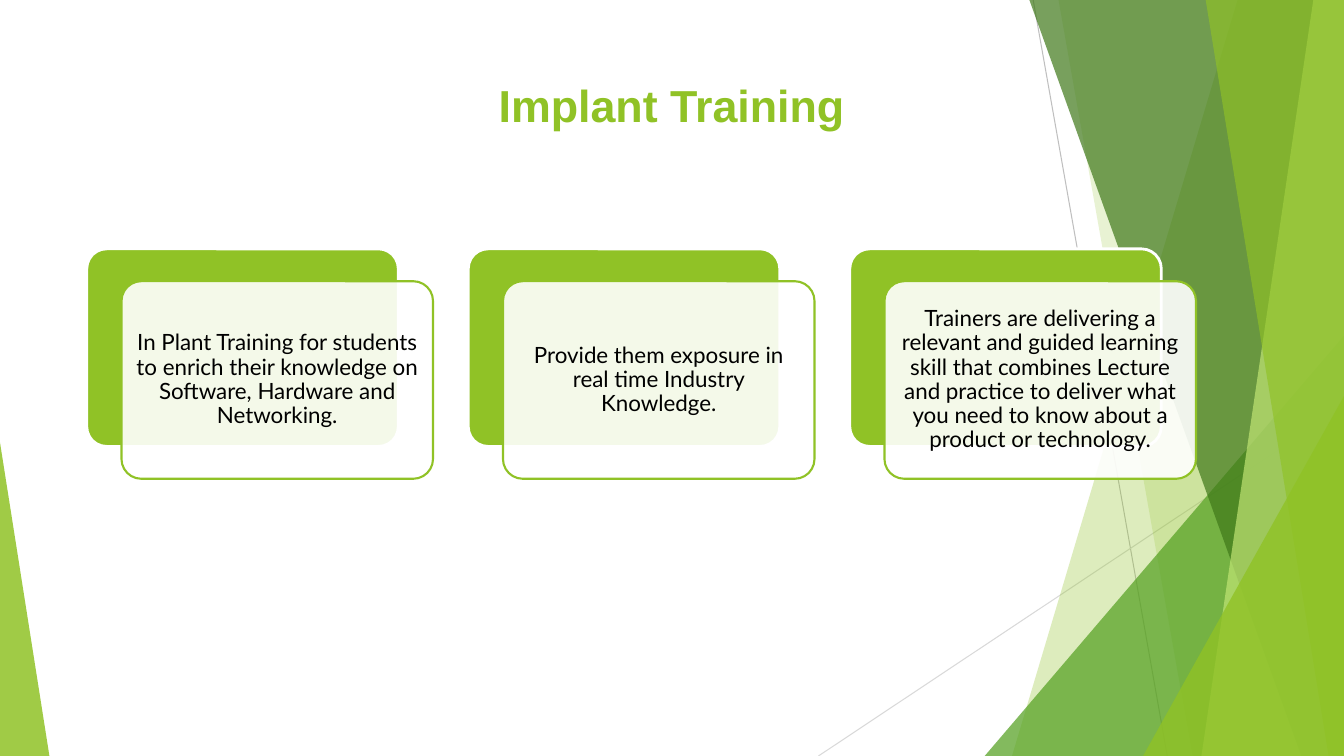
"""Build the Implant Training slide: green facets, a title and three layered cards."""
from lxml import etree
from pptx import Presentation
from pptx.dml.color import RGBColor
from pptx.enum.shapes import MSO_CONNECTOR, MSO_SHAPE as SHAPE
from pptx.enum.text import MSO_ANCHOR as ANCHOR, PP_ALIGN as ALIGN
from pptx.oxml.ns import qn
from pptx.util import Pt

LIME = RGBColor(0x90, 0xC2, 0x26)
GREEN = RGBColor(0x54, 0xA0, 0x21)
FOREST = RGBColor(0x3F, 0x78, 0x19)
PALE = RGBColor(0xC0, 0xE4, 0x74)
GREY = RGBColor(0xBF, 0xBF, 0xBF)
LIGHT_GREY = RGBColor(0xD9, 0xD9, 0xD9)
WHITE = RGBColor(0xFF, 0xFF, 0xFF)
BLACK = RGBColor(0, 0, 0)
WIDTH, HEIGHT = 960, 540
TOP = -0.6


def paint(sp, color, opacity, line=None, weight=0):
    sp.shadow.inherit = False
    sp.fill.solid()
    sp.fill.fore_color.rgb = color
    if opacity < 100:
        clr = sp.fill._xPr.find(qn("a:solidFill"))[0]
        etree.SubElement(clr, qn("a:alpha")).set("val", str(opacity * 1000))
    if line is None:
        sp.line.fill.background()
    else:
        sp.line.color.rgb = line
        sp.line.width = Pt(weight)


def write(tf, text, **font):
    tf.word_wrap = True
    p = tf.paragraphs[0]
    p.alignment = ALIGN.CENTER
    r = p.add_run()
    r.text = text
    r.font.color.rgb = font.pop("color")
    for name, value in font.items():
        setattr(r.font, name, value)
    return p


prs = Presentation()
prs.slide_width, prs.slide_height = Pt(WIDTH), Pt(HEIGHT)
s = prs.slides.add_slide(prs.slide_layouts[6])

for x1, y1, x2, color in [(738, 0, 833.8, GREY), (WIDTH, 290.2, 584.6, LIGHT_GREY)]:
    cn = s.shapes.add_connector(MSO_CONNECTOR.STRAIGHT, Pt(x1), Pt(y1), Pt(x2), Pt(HEIGHT))
    cn.line.color.rgb = color
    cn.line.width = Pt(0.75)
    etree.SubElement(cn._element.spPr, qn("a:effectLst"))

facets = [
    ("beam", (884.2, 722.9), LIME, 30),
    ("beam", (756, 851.8), LIME, 20),
    ("wedge", (703.4, 239.8, 256.6, 1), GREEN, 72),
    ("beam", (735.1, 929.5), FOREST, 70),
    ("beam", (938.2, 858.2), PALE, 70),
    ("beam", (861.1, 949), LIME, 65),
    ("wedge", (816.5, 283, 143.5, 1), LIME, 80),
    ("wedge", (0, 316.1, 35.3, 0), LIME, 85),
]
for kind, place, color, opacity in facets:
    if kind == "beam":
        top_x, bottom_x = place
        fb = s.shapes.build_freeform(Pt(top_x), Pt(TOP))
        corners = [(WIDTH, TOP), (WIDTH, HEIGHT), (bottom_x, HEIGHT)]
        fb.add_line_segments([(Pt(x), Pt(y)) for x, y in corners])
        sp = fb.convert_to_shape()
    else:
        x, y, w, apex = place
        sp = s.shapes.add_shape(SHAPE.ISOSCELES_TRIANGLE, Pt(x), Pt(y), Pt(w), Pt(HEIGHT - y))
        sp.adjustments[0] = apex
    paint(sp, color, opacity)

title = s.shapes.add_textbox(Pt(234.7), Pt(51.8), Pt(490.3), Pt(61.2))
write(title.text_frame, "Implant Training", name="Arial", size=Pt(32), bold=True, color=LIME)

CARD_W, CARD_H, PITCH = 222.5, 141.1, 272.5
LEFT, CARD_TOP = 62, 177.8
SHIFT_X, SHIFT_Y = 24.8, 23.1
cards = [
    "In Plant Training for students to enrich their knowledge on Software, Hardware and Networking.",
    "Provide them exposure in real time Industry Knowledge.",
    "Trainers are delivering a relevant and guided learning skill that combines Lecture "
    "and practice to deliver what you need to know about a product or technology.",
]
for i, text in enumerate(cards):
    x = LEFT + i * PITCH
    layers = [
        (x, CARD_TOP, LIME, 100, WHITE, 2),
        (x + SHIFT_X, CARD_TOP + SHIFT_Y, WHITE, 90, LIME, 1.5),
    ]
    for left, top, *look in layers:
        sp = s.shapes.add_shape(SHAPE.ROUNDED_RECTANGLE, Pt(left), Pt(top), Pt(CARD_W), Pt(CARD_H))
        sp.adjustments[0] = 0.1
        paint(sp, *look)
    tf = sp.text_frame
    tf.vertical_anchor = ANCHOR.MIDDLE
    for side in ("left", "top", "right", "bottom"):
        setattr(tf, f"margin_{side}", Pt(4.8))
    p = write(tf, text, name="Lato", size=Pt(16), color=BLACK)
    p.line_spacing = 0.9

prs.save("out.pptx")
